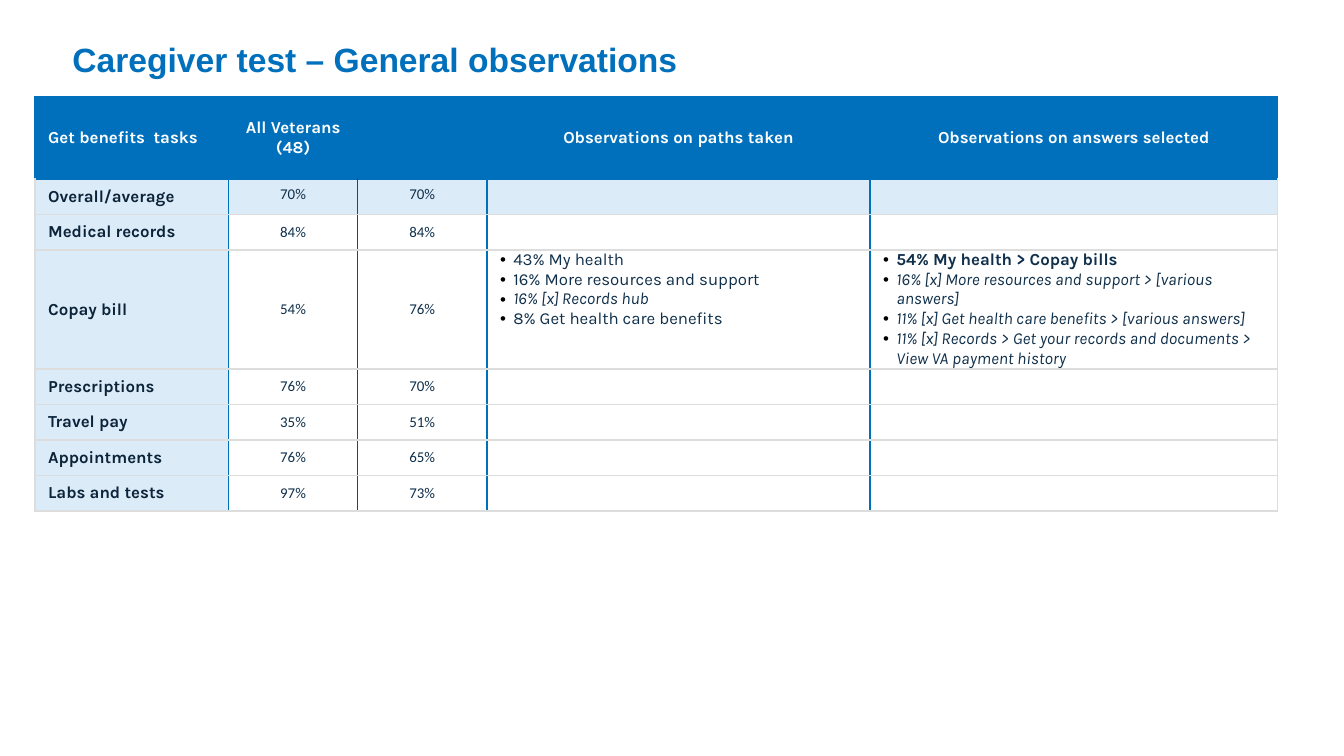
from dataclasses import dataclass

from lxml import etree
from pptx import Presentation
from pptx.dml.color import RGBColor
from pptx.enum.text import MSO_ANCHOR, PP_ALIGN
from pptx.oxml.ns import qn
from pptx.util import Cm, Pt

LEFT, CENTER = PP_ALIGN.LEFT, PP_ALIGN.CENTER
TOP, MIDDLE = MSO_ANCHOR.TOP, MSO_ANCHOR.MIDDLE


@dataclass(frozen=True)
class Theme:
    blue: str = "0070BC"
    pale_blue: str = "DCEBF8"
    white: str = "FFFFFF"
    grid: str = "DDDDDD"
    divider: str = "404040"
    label: str = "0B2439"
    body: str = "0F2F4A"
    bullet: str = "000000"
    title_font: str = "Arial"
    text_font: str = "Karla"
    number_font: str = "Calibri"
    title_size: int = 18
    text_size: int = 9
    number_size: int = 8


theme = Theme()

HEADERS = ["Get benefits  tasks", "All Veterans (48)", "",
           "Observations on paths taken", "Observations on answers selected"]
TASKS = [
    ("Overall/average", "70%", "70%"),
    ("Medical records", "84%", "84%"),
    ("Copay bill", "54%", "76%"),
    ("Prescriptions", "76%", "70%"),
    ("Travel pay", "35%", "51%"),
    ("Appointments", "76%", "65%"),
    ("Labs and tests", "97%", "73%"),
]
COPAY_ROW = 3
# Each observation: text, bold, italic
COPAY_OBSERVATIONS = {
    3: [("43% My health", False, False),
        ("16% More resources and support", False, False),
        ("16% [x] Records hub", False, True),
        ("8% Get health care benefits", False, False)],
    4: [("54% My health > Copay bills", True, False),
        ("16% [x] More resources and support > [various answers]", False, True),
        ("11% [x] Get health care benefits > [various answers]", False, True),
        ("11% [x] Records > Get your records and documents > "
         "View VA payment history", False, True)],
}
COLUMN_WIDTHS = [3.66, 2.44, 2.44, 7.24, 7.7]
HEADER_HEIGHT, ROW_HEIGHT, COPAY_HEIGHT = 1.55, 0.67, 2.25


def add_run(paragraph, text, font, size, color, bold=False, italic=False):
    run = paragraph.add_run()
    run.text = text
    run.font.name = font
    run.font.size = Pt(size)
    run.font.color.rgb = RGBColor.from_string(color)
    run.font.bold = bold
    run.font.italic = italic


def set_borders(cell, colors):
    """Draw the left, right, top and bottom borders, in that order."""
    properties = cell._tc.get_or_add_tcPr()
    for index, (side, color) in enumerate(zip("LRTB", colors)):
        width = Pt(0.5) if color == theme.divider else Pt(1)
        line = etree.Element(qn(f"a:ln{side}"), w=str(width))
        fill = etree.SubElement(line, qn("a:solidFill"))
        etree.SubElement(fill, qn("a:srgbClr"), val=color)
        properties.insert(index, line)


presentation = Presentation()
presentation.slide_width = Cm(25.4)
presentation.slide_height = Cm(14.28)
slide = presentation.slides.add_slide(presentation.slide_layouts[6])

# Table grid
table = slide.shapes.add_table(
    len(TASKS) + 1, len(HEADERS), Cm(0.66), Cm(1.83), Cm(sum(COLUMN_WIDTHS)),
    Cm(HEADER_HEIGHT + COPAY_HEIGHT + ROW_HEIGHT * (len(TASKS) - 1))).table
for column, width in zip(table.columns, COLUMN_WIDTHS):
    column.width = Cm(width)
for row in table.rows:
    row.height = Cm(ROW_HEIGHT)
table.rows[0].height = Cm(HEADER_HEIGHT)
table.rows[COPAY_ROW].height = Cm(COPAY_HEIGHT)

# Vertical lines of the body, from the left edge to the right edge
vertical_lines = [theme.grid, theme.blue, theme.divider,
                  theme.blue, theme.blue, theme.grid]

# Table cells
rows = [HEADERS] + [[*task, "", ""] for task in TASKS]
for row_index, texts in enumerate(rows):
    for column_index, text in enumerate(texts):
        cell = table.cell(row_index, column_index)
        is_header = row_index == 0
        is_label = column_index == 0
        is_number = not is_header and column_index in (1, 2)
        observations = (COPAY_OBSERVATIONS.get(column_index)
                        if row_index == COPAY_ROW else None)

        cell.fill.solid()
        if is_header:
            fill_color = theme.blue
            borders = [theme.blue] * 4
        else:
            shaded = is_label or row_index == 1
            fill_color = theme.pale_blue if shaded else theme.white
            top_line = theme.blue if row_index == 1 else theme.grid
            borders = [*vertical_lines[column_index:column_index + 2],
                       top_line, theme.grid]
        cell.fill.fore_color.rgb = RGBColor.from_string(fill_color)
        set_borders(cell, borders)

        cell.vertical_anchor = TOP if observations else MIDDLE
        cell.margin_left = cell.margin_right = Cm(0.25)
        cell.margin_top = cell.margin_bottom = Cm(0)
        if is_number and row_index == 1:
            cell.margin_bottom = Cm(0.1)

        frame = cell.text_frame
        paragraph = frame.paragraphs[0]
        paragraph.alignment = LEFT if is_label or observations else CENTER
        if observations:
            for index, (item, bold, italic) in enumerate(observations):
                if index:
                    paragraph = frame.add_paragraph()
                properties = paragraph._p.get_or_add_pPr()
                properties.set("marL", str(Cm(0.25)))
                properties.set("indent", str(-Cm(0.25)))
                bullet_color = etree.SubElement(properties, qn("a:buClr"))
                etree.SubElement(bullet_color, qn("a:srgbClr"), val=theme.bullet)
                etree.SubElement(properties, qn("a:buFont"), typeface="Arial")
                etree.SubElement(properties, qn("a:buChar"), char="•")
                add_run(paragraph, item, theme.text_font, theme.text_size,
                        theme.body, bold, italic)
        elif is_number:
            add_run(paragraph, text, theme.number_font, theme.number_size, theme.body)
        elif text:
            color = theme.white if is_header else theme.label
            add_run(paragraph, text, theme.text_font, theme.text_size, color, bold=True)
        else:
            # A small type size keeps an empty cell from stretching its row
            etree.SubElement(paragraph._p, qn("a:endParaRPr"),
                             sz=str(theme.number_size * 100))

# Title
title = slide.shapes.add_textbox(Cm(1.27), Cm(0.64), Cm(23.09), Cm(1.04))
frame = title.text_frame
frame.word_wrap = True
frame.margin_left = frame.margin_right = Cm(0.1)
frame.margin_top = frame.margin_bottom = Cm(0.1)
add_run(frame.paragraphs[0], "Caregiver test – General observations",
        theme.title_font, theme.title_size, theme.blue, bold=True)

presentation.save("out.pptx")
